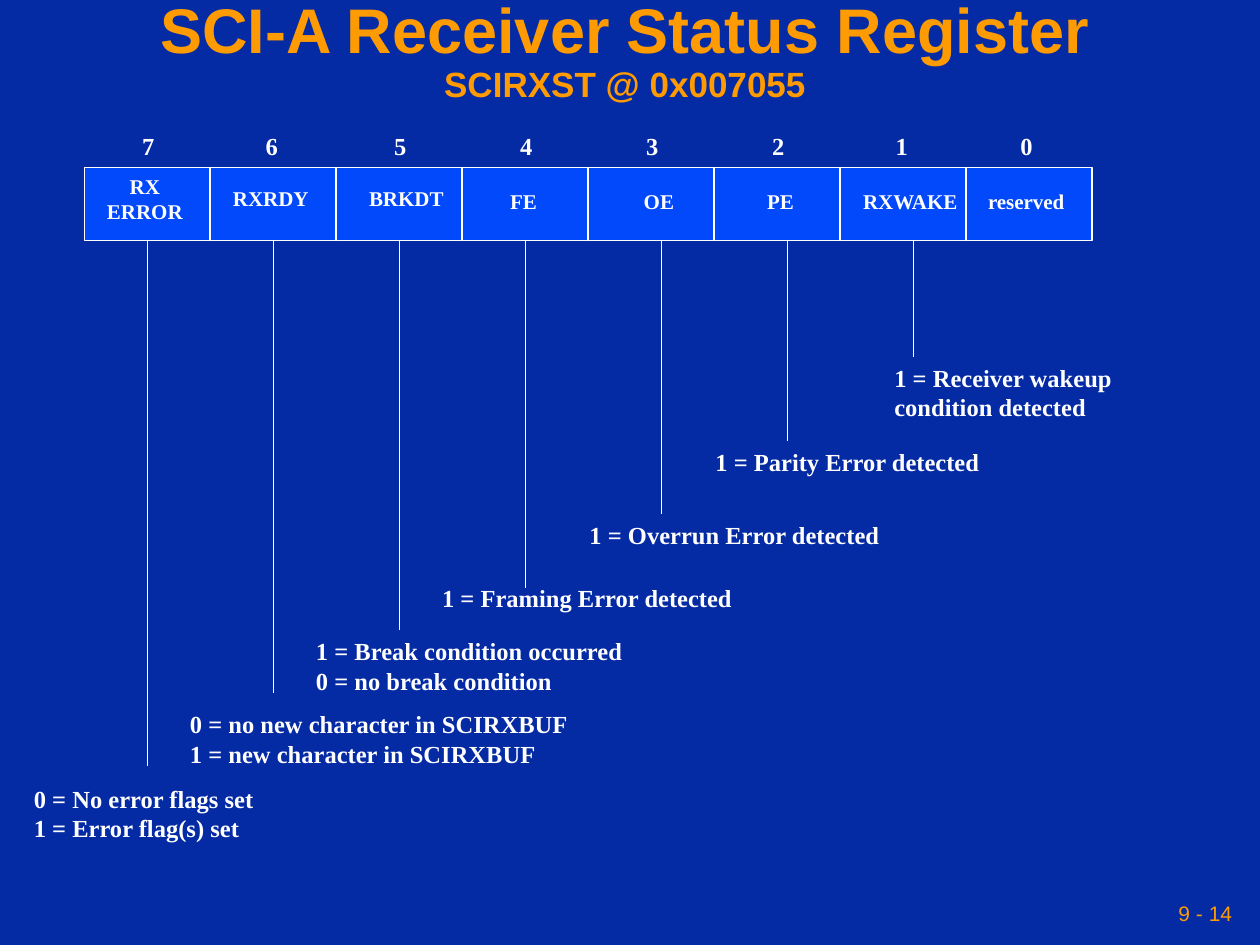
from dataclasses import dataclass
from typing import Optional

import pptx
import pptx.dml.color
import pptx.enum.shapes
import pptx.enum.text
import pptx.oxml
import pptx.util

Inches = pptx.util.Inches
Align = pptx.enum.text.PP_ALIGN
Anchor = pptx.enum.text.MSO_ANCHOR
AutoSize = pptx.enum.text.MSO_AUTO_SIZE


@dataclass(frozen=True)
class Theme:
    background: str = "042AA4"
    cell: str = "0249FC"
    ink: str = "FFFFFF"
    accent: str = "FE9B03"
    heading_font: str = "Arial"
    body_font: str = "Times New Roman"
    title: int = 36
    subtitle: int = 20
    note: int = 14
    field: int = 12
    line: int = 1


@dataclass(frozen=True)
class Box:
    left: float
    top: float
    width: float
    height: float


@dataclass(frozen=True)
class Note:
    lines: tuple[str, ...]
    box: Box
    line_end: float
    line_x: Optional[float] = None  # None: middle of the cell
    wrap: bool = False


@dataclass(frozen=True)
class Bit:
    number: int
    number_left: float
    name: tuple[str, ...]
    name_box: Box
    note: Optional[Note] = None


THEME = Theme()
CELL_LEFT, CELL_TOP, CELL_WIDTH, CELL_HEIGHT = 0.67, 1.33, 1, 0.58

BITS = [
    Bit(7, 1.03, ("RX", "ERROR"), Box(0.75, 1.33, 0.8, 0.5),
        Note(("0 = No error flags set", "1 = Error flag(s) set"),
             Box(0.17, 6.17, 1.95, 0.56), 6.08)),
    Bit(6, 2.01, ("RXRDY",), Box(1.75, 1.42, 0.8, 0.3),
        Note(("0 = no new character in SCIRXBUF", "1 = new character in SCIRXBUF"),
             Box(1.41, 5.58, 3.2, 0.56), 5.5)),
    Bit(5, 3.03, ("BRKDT",), Box(2.83, 1.42, 0.79, 0.3),
        Note(("1 = Break condition occurred", "0 = no break condition"),
             Box(2.41, 5, 2.64, 0.56), 5)),
    Bit(4, 4.03, ("FE",), Box(3.95, 1.45, 0.41, 0.3),
        Note(("1 = Framing Error detected",), Box(3.41, 4.58, 2.51, 0.33), 4.67)),
    Bit(3, 5.03, ("OE",), Box(5.01, 1.45, 0.44, 0.3),
        Note(("1 = Overrun Error detected",), Box(4.58, 4.08, 2.51, 0.33), 4.08, 5.25)),
    Bit(2, 6.03, ("PE",), Box(5.99, 1.45, 0.41, 0.3),
        Note(("1 = Parity Error detected",), Box(5.58, 3.5, 2.3, 0.33), 3.5, 6.25)),
    Bit(1, 7.01, ("RXWAKE",), Box(6.74, 1.45, 0.97, 0.3),
        Note(("1 = Receiver wakeup condition detected",),
             Box(7, 2.83, 2.3, 0.56), 2.83, 7.25, wrap=True)),
    Bit(0, 8, ("reserved",), Box(7.74, 1.45, 0.81, 0.3)),
]


def rgb(value: str) -> pptx.dml.color.RGBColor:
    return pptx.dml.color.RGBColor.from_string(value)


def style_font(font, size: int, name: str, color: str, bold: bool = True) -> None:
    formats = {"size": pptx.util.Pt(size), "name": name, "bold": bold}
    for key, value in formats.items():
        setattr(font, key, value)
    font.color.rgb = rgb(color)


def add_frame(s, box: Box, **formats):
    """Add a text box and return its text frame."""
    shape = s.shapes.add_textbox(Inches(box.left), Inches(box.top),
                                 Inches(box.width), Inches(box.height))
    tf = shape.text_frame
    for key, value in formats.items():
        setattr(tf, key, value)
    return tf


def add_label(s, lines: tuple[str, ...], box: Box, size: int,
              align=Align.LEFT, wrap: bool = False) -> None:
    tf = add_frame(s, box, word_wrap=wrap, auto_size=AutoSize.SHAPE_TO_FIT_TEXT)
    for i, line in enumerate(lines):
        p = tf.paragraphs[0] if i == 0 else tf.add_paragraph()
        p.alignment = align
        r = p.add_run()
        r.text = line
        style_font(r.font, size, THEME.body_font, THEME.ink)


def add_heading(s, runs: list[tuple[str, int]], box: Box, align,
                wrap: bool, bold: bool) -> None:
    """Add accent text, one run a line, in a single paragraph."""
    margins = {f"margin_{side}": Inches(0.05)
               for side in ("left", "top", "right", "bottom")}
    tf = add_frame(s, box, word_wrap=wrap, vertical_anchor=Anchor.MIDDLE, **margins)
    p = tf.paragraphs[0]
    p.alignment = align
    if len(runs) > 1:
        p.line_spacing = 0.9
    for i, (text, size) in enumerate(runs):
        if i:
            p.add_line_break()
        r = p.add_run()
        r.text = text
        style_font(r.font, size, THEME.heading_font, THEME.accent, bold)


def add_cell(s, column: int):
    cell = s.shapes.add_shape(
        pptx.enum.shapes.MSO_SHAPE.RECTANGLE,
        Inches(CELL_LEFT + column * CELL_WIDTH), Inches(CELL_TOP),
        Inches(CELL_WIDTH), Inches(CELL_HEIGHT))
    cell.shadow.inherit = False
    cell.fill.solid()
    cell.fill.fore_color.rgb = rgb(THEME.cell)
    cell.line.color.rgb = rgb(THEME.ink)
    cell.line.width = pptx.util.Pt(THEME.line)
    return cell


def add_leader(s, cell, note: Note) -> None:
    x = cell.left + cell.width // 2 if note.line_x is None else Inches(note.line_x)
    leader = s.shapes.add_connector(
        pptx.enum.shapes.MSO_CONNECTOR.STRAIGHT,
        x, cell.top + cell.height, x, Inches(note.line_end))
    if note.line_x is None:
        leader.begin_connect(cell, 2)
    leader.line.color.rgb = rgb(THEME.ink)
    leader.line.width = pptx.util.Pt(THEME.line)
    leader._element.spPr.append(pptx.oxml.parse_xml(
        '<a:effectLst xmlns:a="http://schemas.openxmlformats.org/drawingml/2006/main"/>'))


def main() -> None:
    prs = pptx.Presentation()
    prs.slide_width, prs.slide_height = Inches(10), Inches(7.5)
    s = prs.slides.add_slide(prs.slide_layouts[6])
    s.background.fill.solid()
    s.background.fill.fore_color.rgb = rgb(THEME.background)

    # Page number and title
    add_heading(s, [("9 - 14", THEME.field)], Box(6.83, 7.08, 3, 0.33),
                Align.RIGHT, wrap=False, bold=False)
    add_heading(s, [("SCI-A Receiver Status Register", THEME.title),
                    ("SCIRXST @ 0x007055", THEME.subtitle)],
                Box(0, 0, 9.92, 0.83), Align.CENTER, wrap=True, bold=True)

    # Register cells, then their numbers, names and notes
    cells = [add_cell(s, column) for column in range(len(BITS))]
    for bit, cell in zip(BITS, cells):
        add_label(s, (str(bit.number),), Box(bit.number_left, 0.99, 0.3, 0.33), THEME.note)
        add_label(s, bit.name, bit.name_box, THEME.field, Align.CENTER)
        if bit.note:
            add_label(s, bit.note.lines, bit.note.box, THEME.note, wrap=bit.note.wrap)
            add_leader(s, cell, bit.note)

    prs.save("out.pptx")


if __name__ == "__main__":
    main()
